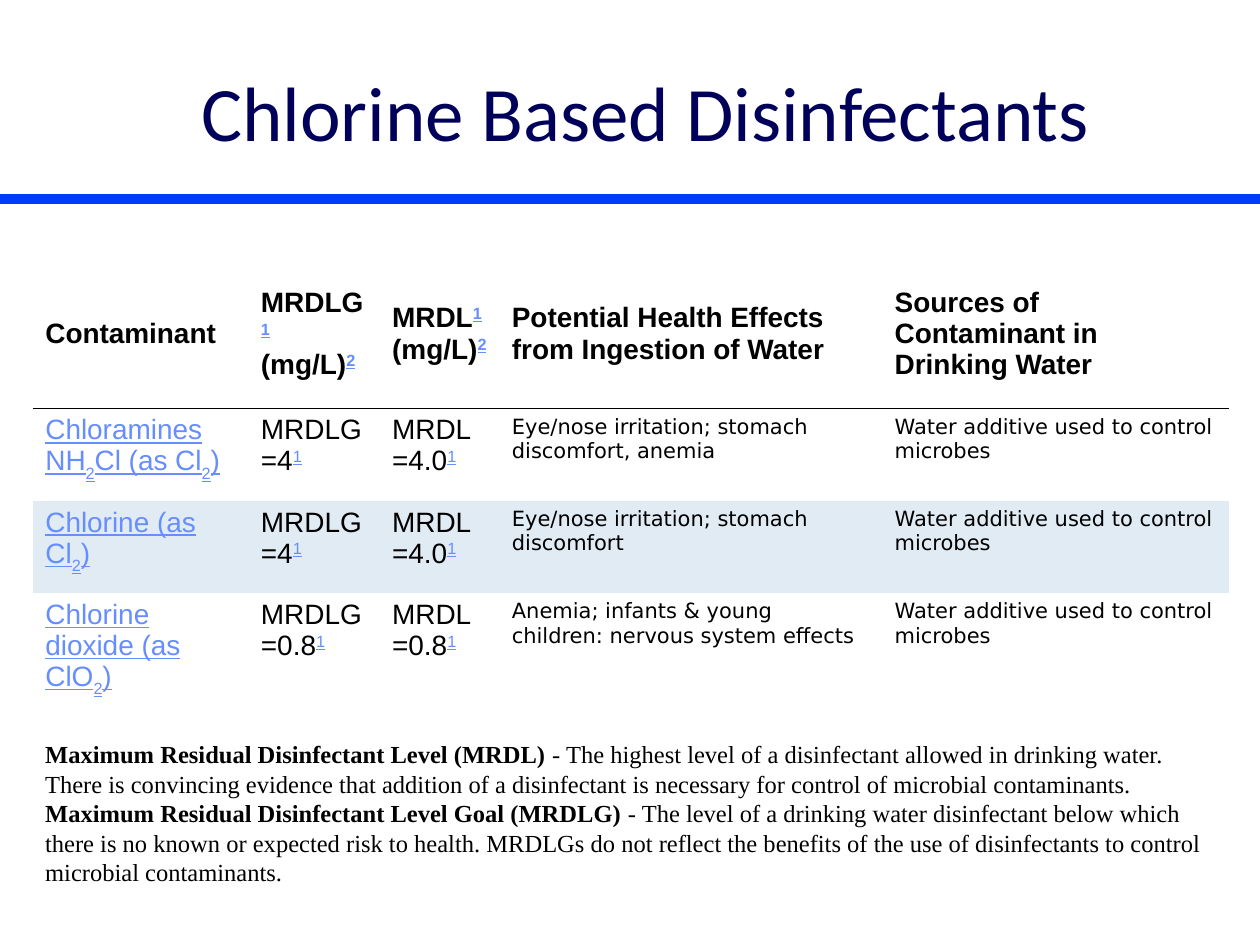
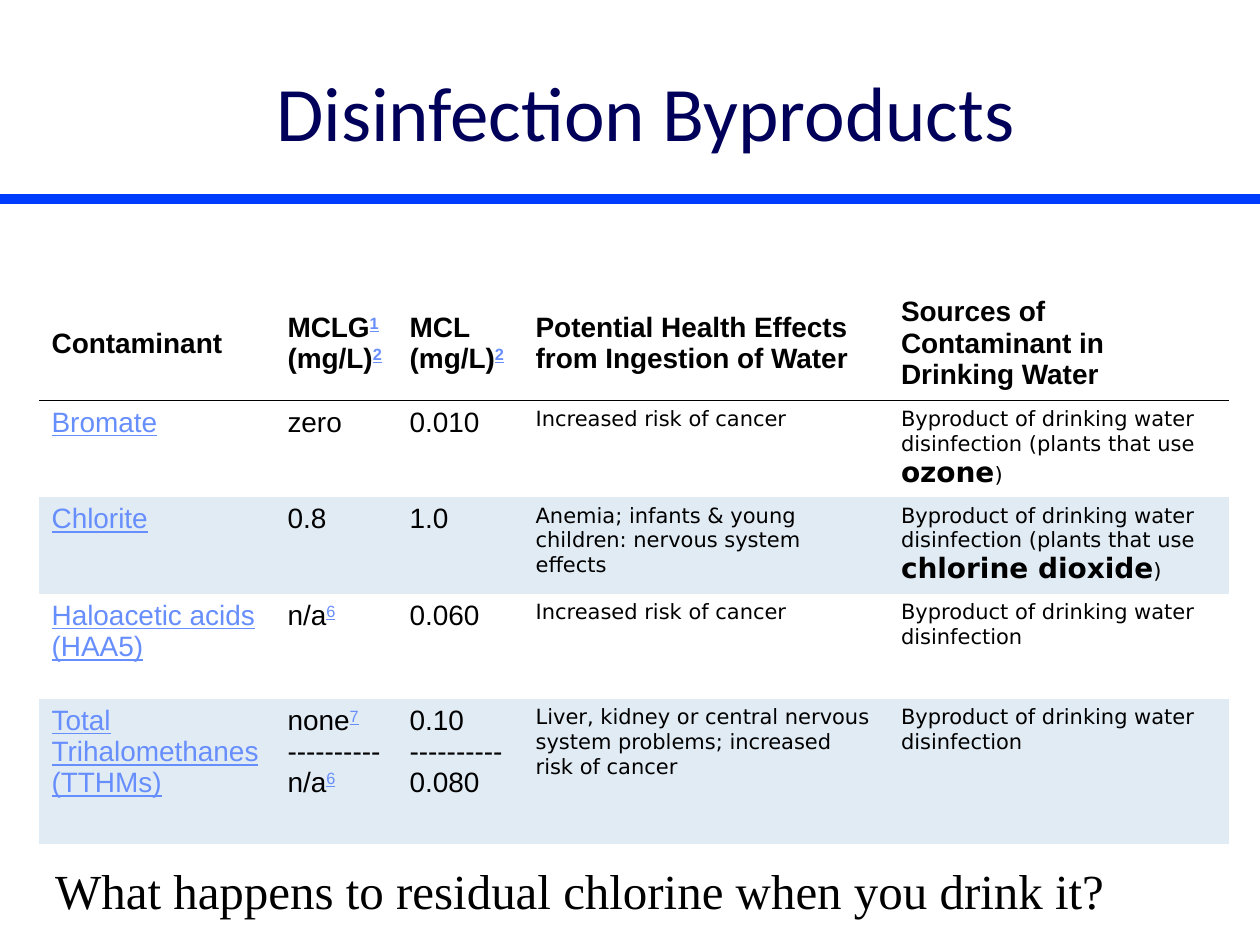
"""Build two slides on drinking water disinfectants and their byproducts."""
import copy
import dataclasses

import lxml.etree
import pptx
import pptx.dml.color
import pptx.enum.shapes
import pptx.enum.text
import pptx.oxml.ns
import pptx.util

Pt = pptx.util.Pt
ANCHOR = pptx.enum.text.MSO_ANCHOR
COLORS = {
    "title": "00005A",
    "rule": "003CFE",
    "text": "000000",
    "link": "678EFD",
    "header": "FFFFFF",
    "band": "E1EBF4",
}
NO_STYLE = "{2D5ABB26-0587-4C30-8999-92F81FD0307C}"


@dataclasses.dataclass(frozen=True)
class Style:
    """Character formatting of a run."""
    font: str
    size: float
    color: str = "text"
    bold: bool = False
    underline: bool = False
    baseline: int = 0


TITLE = Style("Calibri", 44, "title")
HEADER = Style("Arial", 16, bold=True)
VALUE = Style("Arial", 16)
LINK = Style("Arial", 16, "link", underline=True)
DETAIL = Style("DejaVu Sans", 12)
DEFINITION = Style("Times New Roman", 14)
QUESTION = Style("Times New Roman", 28)
COLUMN_STYLES = [LINK, VALUE, VALUE, DETAIL, DETAIL]

EFFECTS_HEADER = "Potential Health Effects from Ingestion of Water"
SOURCES_HEADER = "Sources of Contaminant in Drinking Water"
ADDITIVE = "Water additive used to control microbes"
BYPRODUCT = "Byproduct of drinking water disinfection"
NERVOUS = "Anemia; infants & young children: nervous system effects"
CANCER = "Increased risk of cancer"

DISINFECTANTS = [
    ["Contaminant", "MRDLG|^1|\n(mg/L)|^2", "MRDL|^1|\n(mg/L)|^2", EFFECTS_HEADER, SOURCES_HEADER],
    ["Chloramines NH|_2|Cl (as Cl|_2|)", "MRDLG=4|^1", "MRDL=4.0|^1",
     "Eye/nose irritation; stomach discomfort, anemia", ADDITIVE],
    ["Chlorine (as Cl|_2|)", "MRDLG=4|^1", "MRDL=4.0|^1",
     "Eye/nose irritation; stomach discomfort", ADDITIVE],
    ["Chlorine dioxide (as ClO|_2|)", "MRDLG=0.8|^1", "MRDL=0.8|^1", NERVOUS, ADDITIVE],
]
BYPRODUCTS = [
    ["Contaminant", "MCLG|^1|\n(mg/L)|^2", "MCL\n(mg/L)|^2", EFFECTS_HEADER, SOURCES_HEADER],
    ["Bromate", "zero", "0.010", CANCER, BYPRODUCT + " (plants that use |*ozone|)"],
    ["Chlorite", "0.8", "1.0", NERVOUS, BYPRODUCT + " (plants that use |*chlorine dioxide|)"],
    ["Haloacetic acids (HAA5)", "n/a|^6", "0.060", CANCER, BYPRODUCT],
    ["Total Trihalomethanes (TTHMs)", "none|^7|\n----------\nn/a|^6", "0.10\n----------\n0.080",
     "Liver, kidney or central nervous system problems; increased risk of cancer", BYPRODUCT],
]
DEFINITIONS = (
    "*Maximum Residual Disinfectant Level (MRDL)| - The highest level of a disinfectant allowed "
    "in drinking water. There is convincing evidence that addition of a disinfectant is necessary "
    "for control of microbial contaminants.\n"
    "|*Maximum Residual Disinfectant Level Goal (MRDLG)| - The level of a drinking water "
    "disinfectant below which there is no known or expected risk to health. MRDLGs do not reflect "
    "the benefits of the use of disinfectants to control microbial contaminants."
)


def rgb(name):
    """Return the named colour."""
    return pptx.dml.color.RGBColor.from_string(COLORS[name])


def add_run(p, text, style):
    """Append one formatted run to a paragraph."""
    r = p.add_run()
    r.text = text
    r.font.name = style.font
    r.font.size = Pt(style.size)
    r.font.bold = style.bold
    r.font.underline = style.underline
    r.font.color.rgb = rgb(style.color)
    if style.baseline:
        r.font._element.set("baseline", str(style.baseline * 1000))
    return r


def marked_style(mark, style):
    """Return the style for a marker: ^ note link, _ subscript, * strong."""
    if mark == "^":
        return dataclasses.replace(style, color="link", underline=True, baseline=30)
    if mark == "_":
        return dataclasses.replace(style, baseline=-30)
    return dataclasses.replace(style, bold=True, size=max(style.size, 16) if style == DETAIL else style.size)


def write(tf, markup, style):
    """Fill the first paragraph from pieces parted by bars."""
    p = tf.paragraphs[0]
    r = None
    for piece in markup.split("|"):
        marked = piece[0] in "^_*"
        piece_style = marked_style(piece[0], style) if marked else style
        for i, line in enumerate(piece[marked:].split("\n")):
            if i:
                br = p._p.add_br()
                br.append(copy.deepcopy(r.font._element))
            if line:
                r = add_run(p, line, piece_style)
    return p


def add_text(s, box, markup, style, wrap=True, anchor=ANCHOR.TOP):
    """Add a text box and return its paragraph."""
    tf = s.shapes.add_textbox(*map(Pt, box)).text_frame
    tf.word_wrap = wrap
    tf.vertical_anchor = anchor
    return write(tf, markup, style)


def add_rule(s, y, width):
    """Add the blue rule below the title."""
    line = s.shapes.add_connector(pptx.enum.shapes.MSO_CONNECTOR.STRAIGHT, 0, Pt(y), Pt(width), Pt(y))
    line.line.color.rgb = rgb("rule")
    line.line.width = Pt(6)
    lxml.etree.SubElement(line._element.spPr, pptx.oxml.ns.qn("a:effectLst"))


def add_bottom_border(cell):
    """Draw a thin line below a cell."""
    qn = pptx.oxml.ns.qn
    ln = lxml.etree.Element(qn("a:lnB"), w=str(Pt(1)))
    fill = lxml.etree.SubElement(ln, qn("a:solidFill"))
    lxml.etree.SubElement(fill, qn("a:srgbClr"), val=COLORS["text"])
    cell._tc.get_or_add_tcPr().insert(0, ln)


def paint(cell, row):
    """Fill a cell as header, band or clear row."""
    if row and row % 2:
        cell.fill.background()
        return
    cell.fill.solid()
    cell.fill.fore_color.rgb = rgb("band" if row else "header")


def add_contaminant_table(s, left, top, widths, heights, rows):
    """Add a table of contaminants with a ruled header and banded rows."""
    frame = s.shapes.add_table(len(rows), len(widths), Pt(left), Pt(top), Pt(sum(widths)), Pt(sum(heights)))
    table = frame.table
    table._tbl.tblPr[0].text = NO_STYLE
    for column, width in zip(table.columns, widths):
        column.width = Pt(width)
    for i, (height, texts) in enumerate(zip(heights, rows)):
        table.rows[i].height = Pt(height)
        for j, text in enumerate(texts):
            cell = table.cell(i, j)
            paint(cell, i)
            write(cell.text_frame, text, COLUMN_STYLES[j] if i else HEADER)
            if i == 0:
                cell.vertical_anchor = ANCHOR.MIDDLE
                add_bottom_border(cell)


def add_titled_slide(prs, title):
    """Add a blank slide with the shared rule and title."""
    s = prs.slides.add_slide(prs.slide_layouts[6])
    add_rule(s, 113.75, 720)
    p = add_text(s, (36, 18, 666, 90), title, TITLE, anchor=ANCHOR.MIDDLE)
    p.alignment = pptx.enum.text.PP_ALIGN.CENTER
    return s


def main():
    """Build and save the presentation."""
    prs = pptx.Presentation()
    prs.slide_width, prs.slide_height = Pt(720), Pt(540)

    s = add_titled_slide(prs, "Chlorine Based Disinfectants")
    add_contaminant_table(s, 18.75, 148.3, [123.2, 75, 68.4, 218.8, 198], [85, 52.75, 52.75, 75], DISINFECTANTS)
    add_text(s, (18.75, 419, 683.5, 108), DEFINITIONS, DEFINITION)

    s = add_titled_slide(prs, "Disinfection Byproducts")
    add_contaminant_table(s, 22.3, 163.5, [134.8, 69.8, 72, 208.8, 194.4], [65.5, 53.7, 53.7, 60, 83], BYPRODUCTS)
    add_text(s, (24.5, 488, 620, 41), "What happens to residual chlorine when you drink it?", QUESTION, wrap=False)

    prs.save("out.pptx")


if __name__ == "__main__":
    main()
